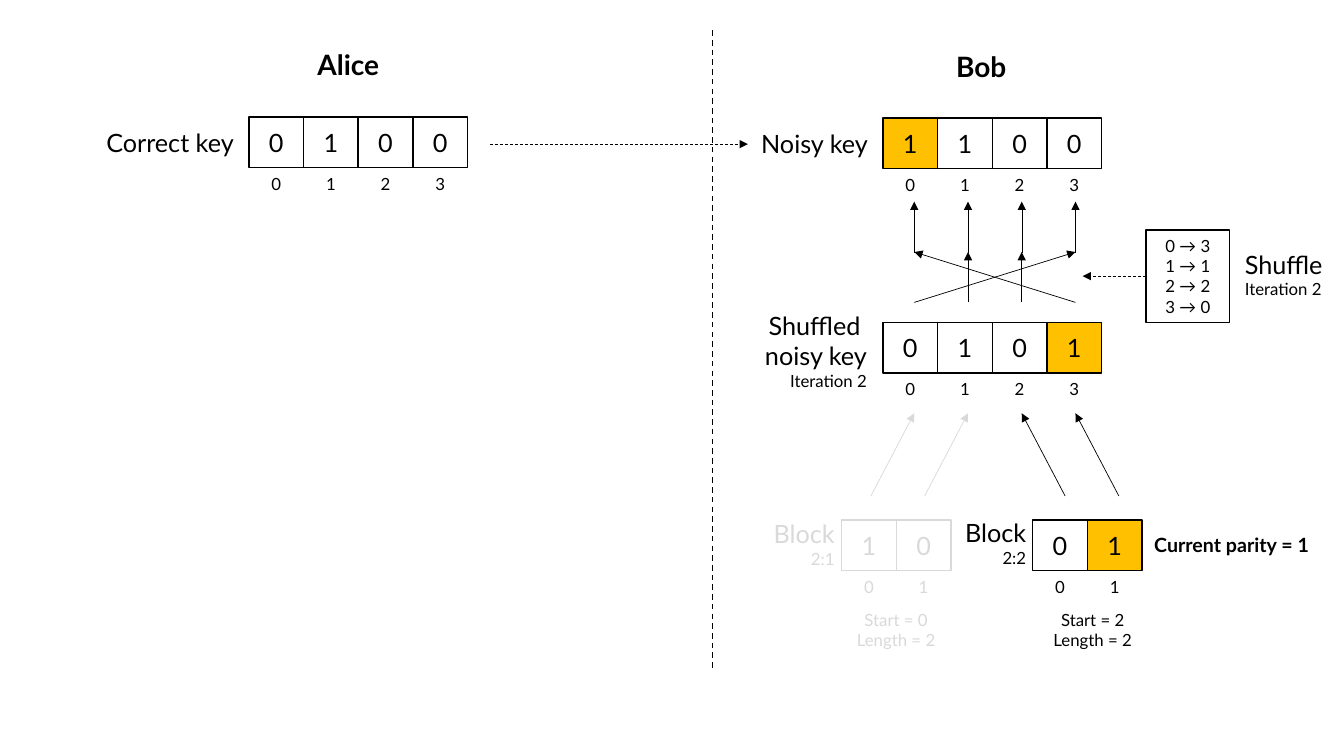
import pptx
import pptx.util
import pptx.dml.color
import pptx.enum.dml
import pptx.enum.shapes
import pptx.enum.text
import pptx.oxml.ns
import lxml.etree

COLUMNS, ROWS = 133.33, 75
BLACK, GREY, AMBER = "000000", "D9D9D9", "FFC000"
CELL_WIDTH, CELL_HEIGHT, INDEX_HEIGHT = 5.42, 5, 2.6
ALIGN = pptx.enum.text.PP_ALIGN
ANCHOR = pptx.enum.text.MSO_ANCHOR
DASH = pptx.enum.dml.MSO_LINE.DASH
DOT = pptx.enum.dml.MSO_LINE.ROUND_DOT


def color(value):
    return pptx.dml.color.RGBColor.from_string(value)


def apply(target, values):
    for name, value in values.items():
        setattr(target, name, value)


class Diagram:
    font_name = "Lato"
    frame_format = {"margin_left": 0, "margin_right": 0, "margin_top": 0,
                    "margin_bottom": 0, "word_wrap": True}

    def __init__(self, deck):
        self.column = deck.slide_width / COLUMNS
        self.row = deck.slide_height / ROWS
        self.page = deck.slides.add_slide(deck.slide_layouts[6])

    def place(self, x, y):
        return round(x * self.column), round(y * self.row)

    def add_lines(self, box, lines, ink, align, anchor=ANCHOR.MIDDLE, bold=False):
        frame = box.text_frame
        apply(frame, {**self.frame_format, "vertical_anchor": anchor})
        for number, (text, size) in enumerate(lines):
            para = frame.paragraphs[0] if number == 0 else frame.add_paragraph()
            para.alignment = align
            span = para.add_run()
            span.text = text
            apply(span.font, {"name": self.font_name, "size": pptx.util.Pt(size), "bold": bold})
            span.font.color.rgb = color(ink)

    def label(self, area, lines, align=ALIGN.CENTER, ink=BLACK, bold=False,
              anchor=ANCHOR.MIDDLE, parent=None):
        box = (parent or self.page).shapes.add_textbox(*self.place(*area[:2]), *self.place(*area[2:]))
        self.add_lines(box, lines, ink, align, anchor, bold)

    def frame(self, area, lines, ink=BLACK, fill=None, parent=None):
        box = (parent or self.page).shapes.add_shape(
            pptx.enum.shapes.MSO_SHAPE.RECTANGLE, *self.place(*area[:2]), *self.place(*area[2:]))
        box.shadow.inherit = False
        if fill:
            box.fill.solid()
            box.fill.fore_color.rgb = color(fill)
        else:
            box.fill.background()
        box.line.color.rgb = color(ink)
        box.line.width = pptx.util.Pt(1)
        self.add_lines(box, lines, ink, ALIGN.CENTER)
        return box

    def key(self, x, y, bits, error=None, ink=BLACK):
        group = self.page.shapes.add_group_shape()
        for index, bit in enumerate(bits):
            left = x + index * CELL_WIDTH
            self.frame((left, y, CELL_WIDTH, CELL_HEIGHT), [(bit, 18)], ink,
                       AMBER if index == error else None, group)
            self.label((left, y + CELL_HEIGHT, CELL_WIDTH, INDEX_HEIGHT), [(str(index), 12)],
                       ink=ink, anchor=ANCHOR.BOTTOM, parent=group)

    def line(self, start, end, width=0.5, ink=BLACK, dash=None, arrow=True):
        link = self.page.shapes.add_connector(
            pptx.enum.shapes.MSO_CONNECTOR.STRAIGHT, *self.place(*start), *self.place(*end))
        link.line.color.rgb = color(ink)
        apply(link.line, {"width": pptx.util.Pt(width), "dash_style": dash})
        properties = link.element.spPr
        if arrow:
            outline = properties.find(pptx.oxml.ns.qn("a:ln"))
            tip = lxml.etree.SubElement(outline, pptx.oxml.ns.qn("a:tailEnd"))
            tip.set("type", "triangle")
        lxml.etree.SubElement(properties, pptx.oxml.ns.qn("a:effectLst"))
        return link


def main():
    deck = pptx.Presentation()
    deck.slide_width = pptx.util.Inches(13.33)
    deck.slide_height = pptx.util.Inches(7.5)
    diagram = Diagram(deck)

    diagram.line((70.7, 3), (70.7, 66.5), 1, dash=DASH, arrow=False)
    for name, x, y in (("Alice", 28.1, 3.9), ("Bob", 90.9, 4.1)):
        diagram.label((x, y, 12.9, 5), [(name, 20)], bold=True)

    diagram.key(24.7, 11.6, "0100")
    diagram.key(87.6, 11.7, "1100", error=0)
    diagram.key(87.6, 32, "0101", error=3)
    for area, lines in (
        ((10.3, 11.6, 12.9, 5), [("Correct key", 18)]),
        ((73.2, 11.7, 12.9, 5), [("Noisy key", 18)]),
        ((71.6, 30.7, 14.4, 8.1), [("Shuffled ", 18), ("noisy key", 18), ("Iteration 2", 12)]),
    ):
        diagram.label(area, lines, ALIGN.RIGHT)
    diagram.line((48.6, 14.3), (74.2, 14.3), dash=DASH)

    shuffle = (3, 1, 2, 0)
    lanes = [90.7 + 5.33 * index for index in range(4)]
    for lane, target in zip(lanes, shuffle):
        diagram.line((lane, 25), (lane, 20), 0.25, dash=DOT)
        diagram.line((lane, 30), (lanes[target], 25))

    mapping = [(f"{index} → {target}", 12) for index, target in enumerate(shuffle)]
    shuffle_box = diagram.frame((113.7, 22.8, 8.3, 9.2), mapping)
    diagram.label((123.5, 24.7, 9.2, 5), [("Shuffle", 18), ("Iteration 2", 12)], ALIGN.LEFT)
    diagram.line((113.7, 27.4), (107.4, 27.4), dash=DASH).begin_connect(shuffle_box, 1)

    for number, bits, error, ink, x, name_x, name_y, note_x, first, shift in (
        (1, "10", None, GREY, 83.5, 75.1, 51.4, 83.5, 0, -4.3),
        (2, "01", 1, BLACK, 102.45, 94.1, 51.3, 103, 2, 4.3),
    ):
        diagram.key(x, 51.6, bits, error, ink)
        diagram.label((name_x, name_y, 7.7, 5), [("Block", 18), (f"2:{number}", 12)], ALIGN.RIGHT, ink)
        diagram.label((note_x, 59.9, 10.8, 5.2),
                      [(f"Start = {first}", 12), (f"Length = {len(bits)}", 12)], ink=ink)
        for lane in lanes[first:first + len(bits)]:
            diagram.line((lane + shift, 49.2), (lane, 41), ink=ink)
    diagram.label((114.5, 51.9, 16.4, 4.3), [("Current parity = 1", 14)], ALIGN.LEFT, bold=True)

    deck.save("out.pptx")


if __name__ == "__main__":
    main()
